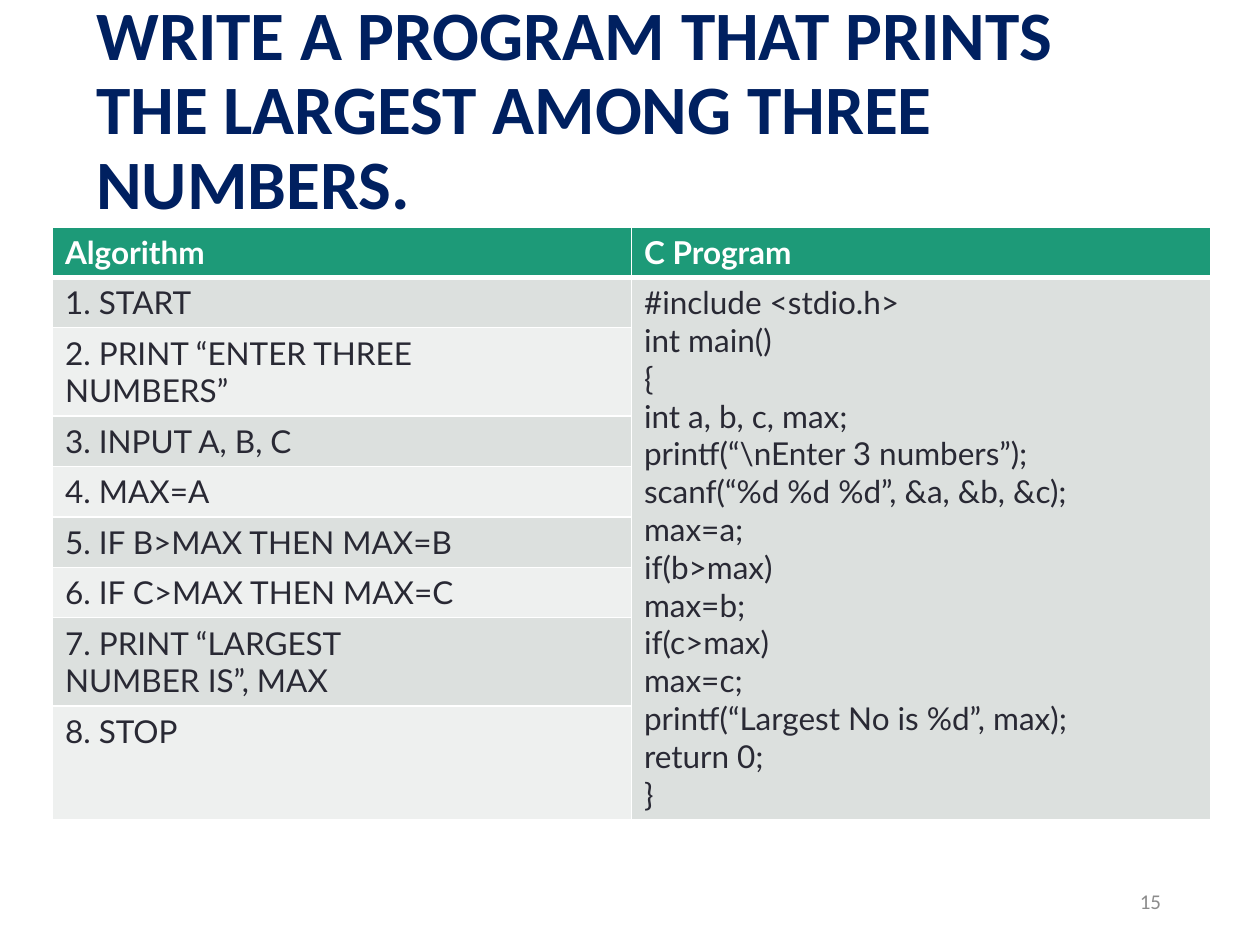
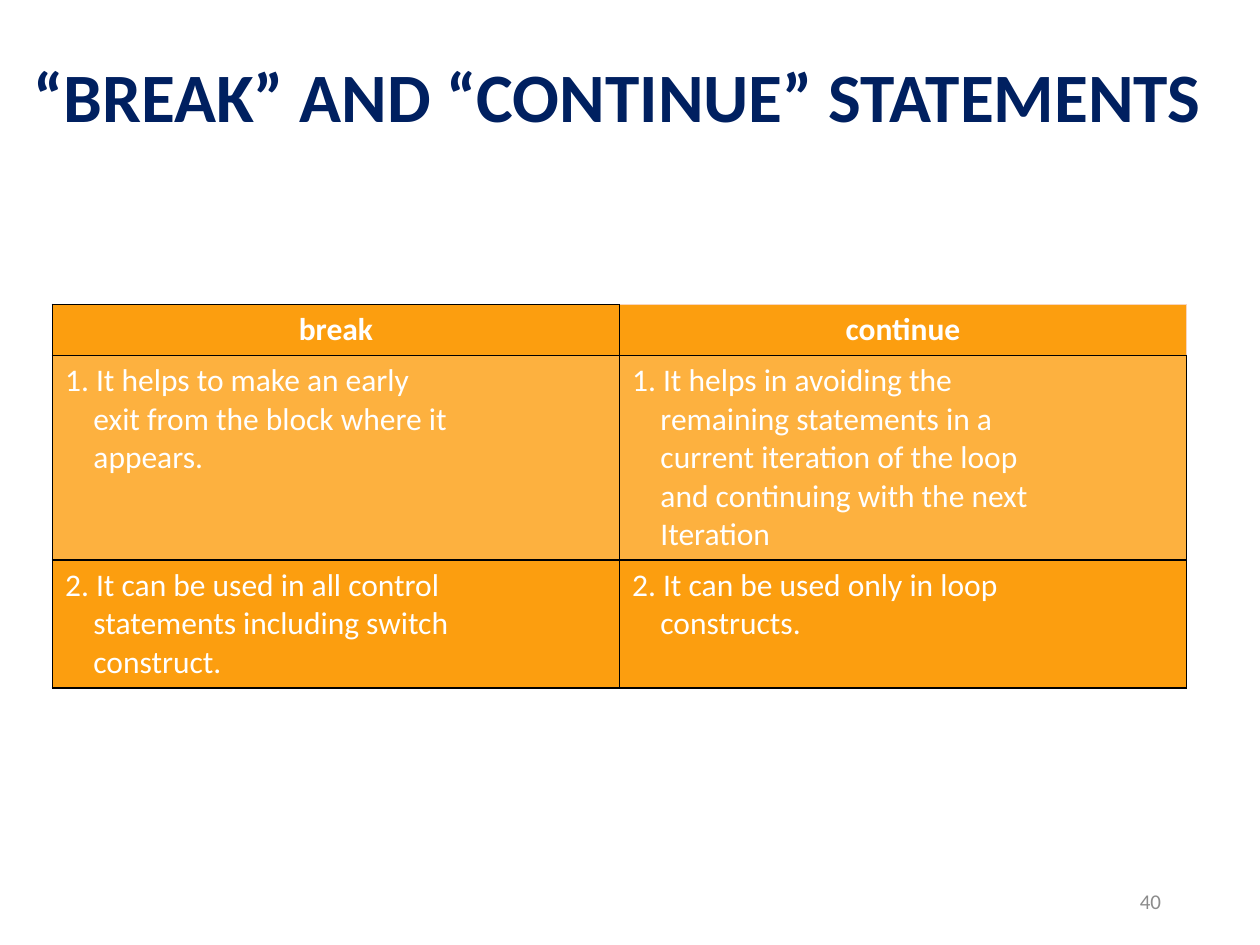
from dataclasses import dataclass
from lxml import etree
from pptx import Presentation
from pptx.dml.color import RGBColor
from pptx.enum.text import MSO_ANCHOR, PP_ALIGN
from pptx.oxml.ns import qn
from pptx.util import Inches, Pt

MID = MSO_ANCHOR.MIDDLE
LEFT, RIGHT, CENTER = PP_ALIGN.LEFT, PP_ALIGN.RIGHT, PP_ALIGN.CENTER


@dataclass(frozen=True)
class Theme:
    navy: str = "002060"
    gray: str = "8C8C8C"
    white: str = "FFFFFF"
    black: str = "000000"
    ink: str = "292934"
    green: str = "1D9A78"
    bands: tuple = ("DCE0DE", "EEF0EF")
    warm: str = "FC9E0F"
    peach: str = "FDB13F"
    pale: str = "F8D5BD"
    face: str = "Calibri"
    code: str = "Lato"
    head: float = 39.6
    body: float = 18
    foot: float = 12


T = Theme()
WIDE, HIGH = 10, 7.5
COLS = 120
CELL = WIDE / COLS
PAD = 1.2
NUMBER = (84.75, 83.4, 27, 4.8)

MAX = {
    "title": "WRITE A PROGRAM THAT PRINTS THE LARGEST AMONG THREE NUMBERS.",
    "box": (8, 2, 103.5, 17.4),
    "page": "15",
    "heads": ["Algorithm", "C Program"],
    "steps": [
        ["1. START"],
        ["2. PRINT “ENTER THREE", "NUMBERS”"],
        ["3. INPUT A, B, C"],
        ["4. MAX=A"],
        ["5. IF B>MAX THEN MAX=B"],
        ["6. IF C>MAX THEN MAX=C"],
        ["7. PRINT “LARGEST", "NUMBER IS”, MAX"],
        ["8. STOP"],
    ],
    "code": [
        "#include <stdio.h>",
        "int main()",
        "{",
        "int a, b, c, max;",
        "printf(“\\nEnter 3 numbers”);",
        "scanf(“%d %d %d”, &a, &b, &c);",
        "max=a;",
        "if(b>max)",
        "max=b;",
        "if(c>max)",
        "max=c;",
        "printf(“Largest No is %d”, max);",
        "return 0;",
        "}",
    ],
}

LOOP = {
    "title": "“BREAK” AND “CONTINUE” STATEMENTS",
    "box": (2, 2, 118, 15),
    "page": "40",
    "heads": ["break", "continue"],
    "rows": [
        [
            ["1. It helps to make an early", "exit from the block where it", "appears."],
            ["1. It helps in avoiding the", "remaining statements in a",
             "current iteration of the loop", "and continuing with the next", "Iteration"],
        ],
        [
            ["2. It can be used in all control", "statements including switch", "construct."],
            ["2. It can be used only in loop", "constructs."],
        ],
    ],
}


def size(n):
    return Inches(n * CELL)


def write(frame, lines, pt, color, face=T.face, bold=False, align=LEFT, hang=0, lead=None):
    for i, line in enumerate(lines):
        para = frame.paragraphs[0] if i == 0 else frame.add_paragraph()
        if i and hang:
            para._p.get_or_add_pPr().set("marL", str(size(hang)))
        para.alignment = align
        if lead:
            para.line_spacing = lead
        run = para.add_run()
        run.text = line
        font = run.font
        font.size, font.name, font.bold = Pt(pt), face, bold
        font.color.rgb = RGBColor.from_string(color)


def label(slide, box, text, *style, **more):
    frame = slide.shapes.add_textbox(*map(size, box)).text_frame
    frame.word_wrap = True
    frame.vertical_anchor = MID
    write(frame, [text], *style, **more)


def start(deck, data):
    slide = deck.slides.add_slide(deck.slide_layouts[6])
    label(slide, data["box"], data["title"], T.head, T.navy, bold=True, lead=0.9)
    label(slide, NUMBER, data["page"], T.foot, T.gray, align=RIGHT)
    return slide


def grid(slide, left, top, width, highs):
    shape = slide.shapes.add_table(
        len(highs), 2, size(left), size(top), size(2 * width), size(sum(highs)))
    table = shape.table
    table.first_row = table.horz_banding = False
    for col in table.columns:
        col.width = size(width)
    for row, high in zip(table.rows, highs):
        row.height = size(high)
    return table


def paint(cell, fill, edges):
    props = cell._tc.get_or_add_tcPr()
    for side, (color, pt) in zip("LRTB", edges):
        line = etree.SubElement(props, qn(f"a:ln{side}"), w=str(Pt(pt)))
        solid = etree.SubElement(line, qn("a:solidFill"))
        etree.SubElement(solid, qn("a:srgbClr"), val=color)
    cell.fill.solid()
    cell.fill.fore_color.rgb = RGBColor.from_string(fill)


def largest(deck):
    slide = start(deck, MAX)
    step = 3.6
    steps, code = MAX["steps"], MAX["code"]
    highs = [PAD + step * len(lines) for lines in [["head"]] + steps]
    highs[-1] = PAD + step * len(code) - sum(highs[1:-1])
    table = grid(slide, 5, 21.6, 55.14, highs)
    thin, thick = (T.white, 1), (T.white, 3)
    for r in range(len(highs)):
        for c in range(2):
            fill = T.green if r == 0 else T.bands[0 if c else (r - 1) % 2]
            edges = (thin, thin, thick if r == 1 else thin, thick if r == 0 else thin)
            paint(table.cell(r, c), fill, edges)
    table.cell(1, 1).merge(table.cell(len(steps), 1))
    for c, head in enumerate(MAX["heads"]):
        write(table.cell(0, c).text_frame, [head], T.body, T.white, T.code, True)
    for r, lines in enumerate(steps, 1):
        write(table.cell(r, 0).text_frame, lines, T.body, T.ink, T.code)
    write(table.cell(1, 1).text_frame, code, T.body, T.ink, T.code)


def compare(deck):
    slide = start(deck, LOOP)
    rows = [[[head] for head in LOOP["heads"]]] + LOOP["rows"]
    highs = [PAD + 3.66 * max(map(len, row)) for row in rows]
    table = grid(slide, 5, 29, 54, highs)
    dark, soft = (T.black, 1), (T.pale, 0.5)
    for r, row in enumerate(rows):
        for c, lines in enumerate(row):
            cell = table.cell(r, c)
            rim = soft if (r, c) == (0, 1) else dark
            paint(cell, T.peach if r == 1 else T.warm, (dark, rim if c else dark, rim, dark))
            write(cell.text_frame, lines, T.body, T.white, bold=r == 0,
                  align=LEFT if r else CENTER, hang=2.7)


def main():
    deck = Presentation()
    deck.slide_width, deck.slide_height = Inches(WIDE), Inches(HIGH)
    largest(deck)
    compare(deck)
    deck.save("out.pptx")


if __name__ == "__main__":
    main()
